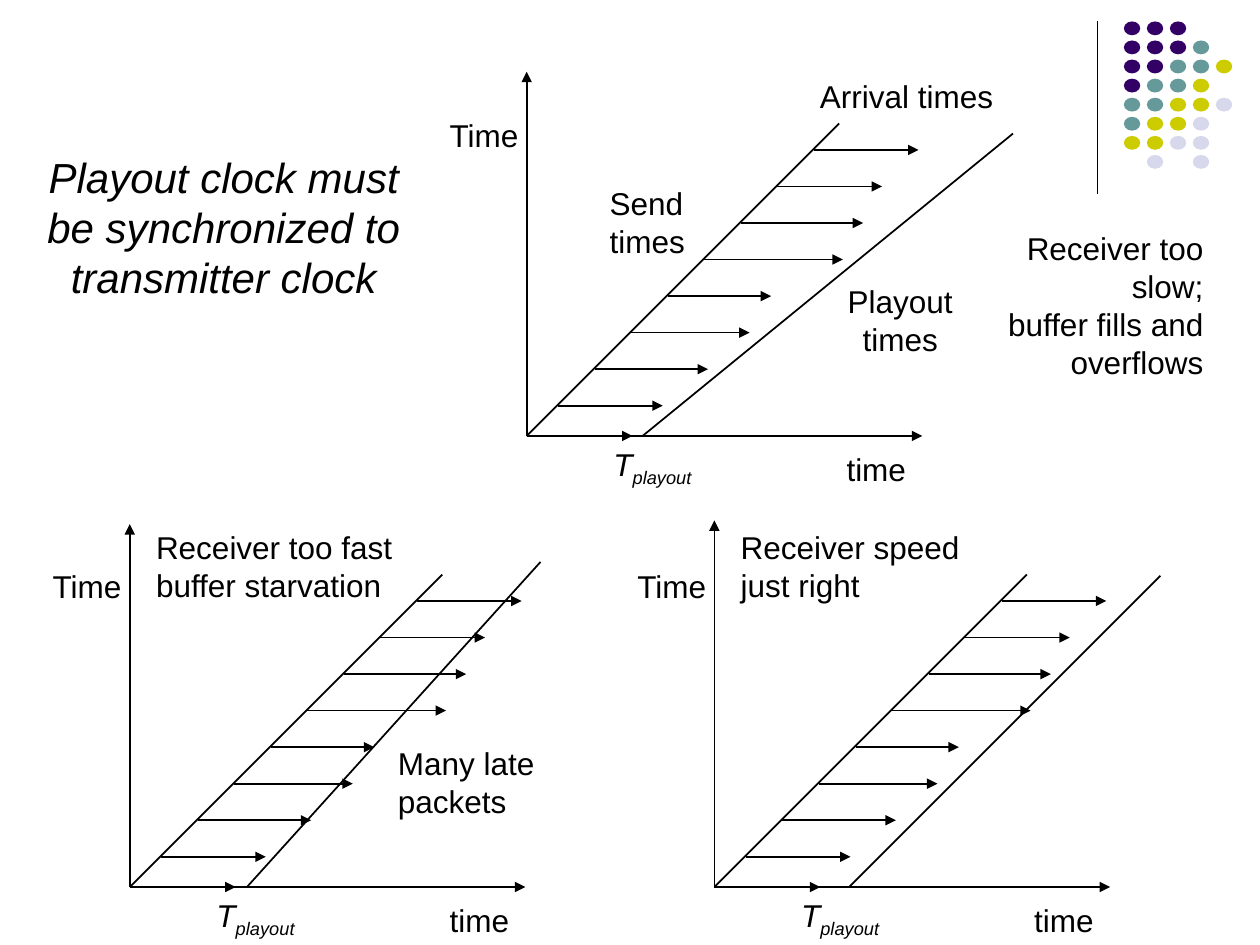
from lxml.etree import SubElement
from pptx import Presentation
from pptx.dml.color import RGBColor
from pptx.enum.shapes import MSO_CONNECTOR, MSO_SHAPE
from pptx.enum.text import MSO_AUTO_SIZE, PP_ALIGN
from pptx.oxml.ns import qn
from pptx.util import Inches, Pt

BLACK = "000000"
DOT_COLORS = {"P": "330066", "T": "669999", "Y": "CCCC00", "L": "D8D8EC"}
DOT_ROWS = ["PPP", "PPPT", "PPTTY", "PTTY", "TTYYL", "TYYL", "YYLL", " L L"]
PACKET_DELAYS = [0.83, 0.9, 0.94, 0.82, 1.1, 0.97, 0.83, 0.83]


def color(hex_text):
    """Return the colour for a hex string."""
    return RGBColor.from_string(hex_text)


def add_line(shapes, start, end, arrow=False, width=1):
    """Draw a straight black line, with an arrowhead at its end if asked."""
    points = [Inches(value) for value in (*start, *end)]
    line = shapes.add_connector(MSO_CONNECTOR.STRAIGHT, *points)
    line.line.color.rgb = color(BLACK)
    line.line.width = Pt(width)
    if arrow:
        SubElement(line.line._get_or_add_ln(), qn("a:tailEnd"), type="triangle")
    SubElement(line._element.spPr, qn("a:effectLst"))


def add_text(shapes, box, paragraphs, align=PP_ALIGN.LEFT, size=18, wrap=False):
    """Write paragraphs of (text, italic, subscript) runs in a text box."""
    text_box = shapes.add_textbox(*[Inches(value) for value in box])
    frame = text_box.text_frame
    frame.word_wrap = wrap
    frame.auto_size = MSO_AUTO_SIZE.SHAPE_TO_FIT_TEXT
    for index, runs in enumerate(paragraphs):
        paragraph = frame.add_paragraph() if index else frame.paragraphs[0]
        paragraph.alignment = align
        for text, italic, subscript in runs:
            run = paragraph.add_run()
            run.text = text
            run.font.name = "Arial"
            run.font.size = Pt(size)
            run.font.italic = italic
            run.font.color.rgb = color(BLACK)
            if subscript:
                run.font._element.set("baseline", "-25000")


def plain(*lines):
    """Return one upright single-run paragraph for each line."""
    return [[(line, False, False)] for line in lines]


def add_corner_dots(slide, left, top):
    """Draw the corner rule and the grid of coloured dots."""
    add_line(slide.shapes, (left, top), (left, top + 1.37), width=0.75)
    shapes = slide.shapes.add_group_shape().shapes
    for row, codes in enumerate(DOT_ROWS):
        for column, code in enumerate(codes):
            if code == " ":
                continue
            dot = shapes.add_shape(
                MSO_SHAPE.OVAL,
                Inches(left + 0.21 + column * 0.73 / 4),
                Inches(top + row * 1.06 / 7),
                Inches(0.13), Inches(0.11))
            dot.shadow.inherit = False
            dot.fill.solid()
            dot.fill.fore_color.rgb = color(DOT_COLORS[code])
            dot.line.fill.background()


def add_timing_chart(slide, left, base, axis_height, playout_start, playout_end, labels):
    """Draw a send and playout chart with its origin at left and base."""
    shapes = slide.shapes.add_group_shape().shapes

    def point(across, rise):
        return left + across, base - rise

    add_line(shapes, point(0, 0), point(3.14, 0), arrow=True)
    add_line(shapes, point(0, 0), point(0, axis_height), arrow=True)
    add_line(shapes, point(0, 0), point(2.48, 2.48))
    add_line(shapes, point(*playout_start), point(*playout_end))
    add_line(shapes, point(0, 0), point(0.84, 0), arrow=True)
    for index, delay in enumerate(PACKET_DELAYS):
        rise = 0.24 + 0.29 * index
        add_line(shapes, point(rise + 0.01, rise), point(rise + 0.01 + delay, rise), arrow=True)

    add_text(shapes, (*point(0.59, -0.02), 1.04, 0.44),
             [[("T", True, False), ("playout", True, True)]], wrap=True)
    add_text(shapes, (*point(2.44, -0.06), 0.72, 0.4), plain("time"))
    add_text(shapes, (*point(-0.71, 2.59), 0.8, 0.4), plain("Time"))
    for across, rise, width, height, align, lines in labels:
        add_text(shapes, (*point(across, rise), width, height), plain(*lines), align)


def add_title(slide, left, top, width, height):
    """Write the slide's message in italics."""
    message = "Playout clock must be synchronized to transmitter clock"
    add_text(slide.shapes, (left, top, width, height), [[(message, True, False)]],
             PP_ALIGN.CENTER, 24, wrap=True)


def main():
    """Build and save the slide."""
    presentation = Presentation()
    presentation.slide_width = Inches(10)
    presentation.slide_height = Inches(7.5)
    slide = presentation.slides.add_slide(presentation.slide_layouts[6])

    add_corner_dots(slide, 8.71, 0.17)
    add_timing_chart(slide, 4.18, 3.46, 2.89, (0.92, 0), (3.86, 2.4), [
        (0.56, 2.05, 0.86, 0.7, PP_ALIGN.LEFT, ["Send", "times"]),
        (2.4, 1.27, 1.13, 0.7, PP_ALIGN.CENTER, ["Playout", "times"]),
        (2.18, 2.9, 1.67, 0.4, PP_ALIGN.CENTER, ["Arrival times"]),
    ])
    add_text(slide.shapes, (7.47, 1.77, 2.18, 1.3),
             plain("Receiver too slow;", "buffer fills and overflows"),
             PP_ALIGN.RIGHT, wrap=True)
    add_timing_chart(slide, 1.03, 7.04, 2.88, (0.93, 0), (3.26, 2.58), [
        (0.11, 2.9, 2.17, 0.7, PP_ALIGN.LEFT, ["Receiver too fast", "buffer starvation"]),
        (2.03, 1.18, 1.38, 0.7, PP_ALIGN.LEFT, ["Many late", "packets"]),
    ])
    add_timing_chart(slide, 5.67, 7.04, 2.91, (1.07, 0), (3.54, 2.47), [
        (0.11, 2.9, 2.04, 0.7, PP_ALIGN.LEFT, ["Receiver speed", "just right"]),
    ])
    add_title(slide, 0.13, 1.15, 3.29, 1.3)
    presentation.save("out.pptx")


if __name__ == "__main__":
    main()
